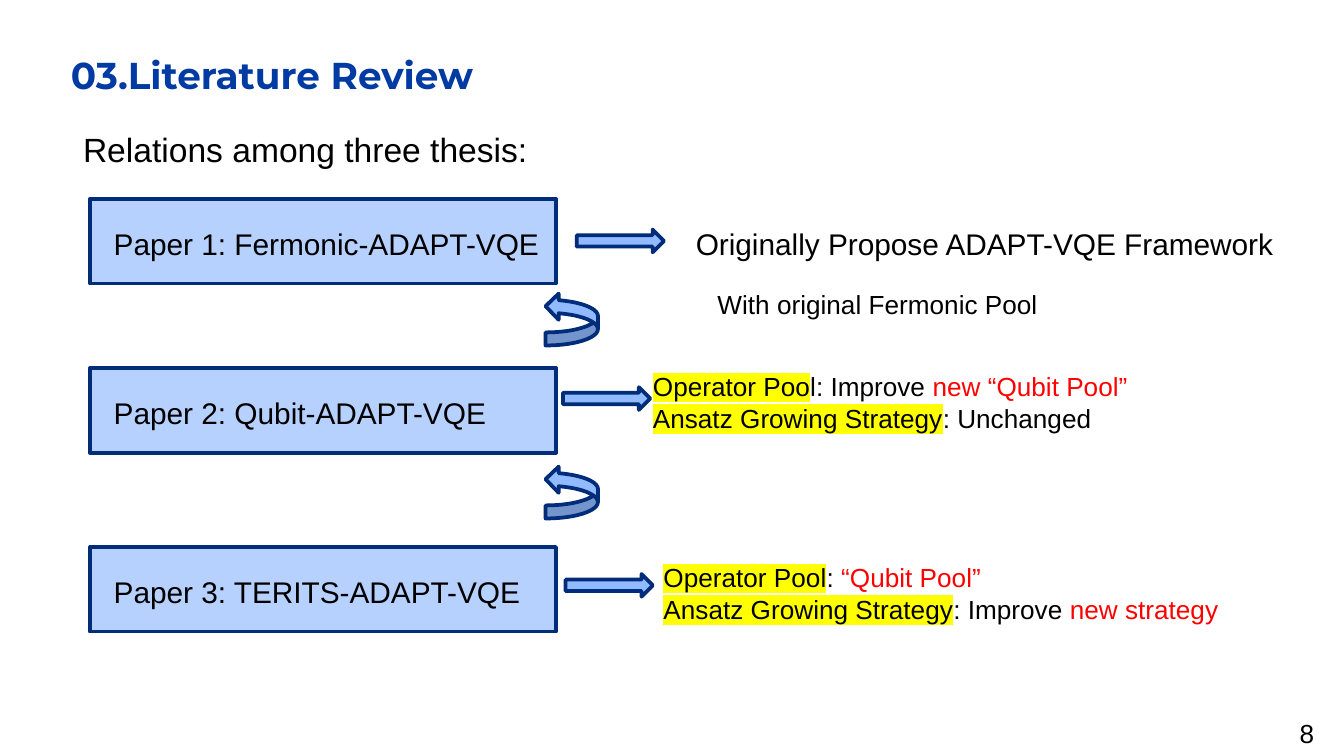
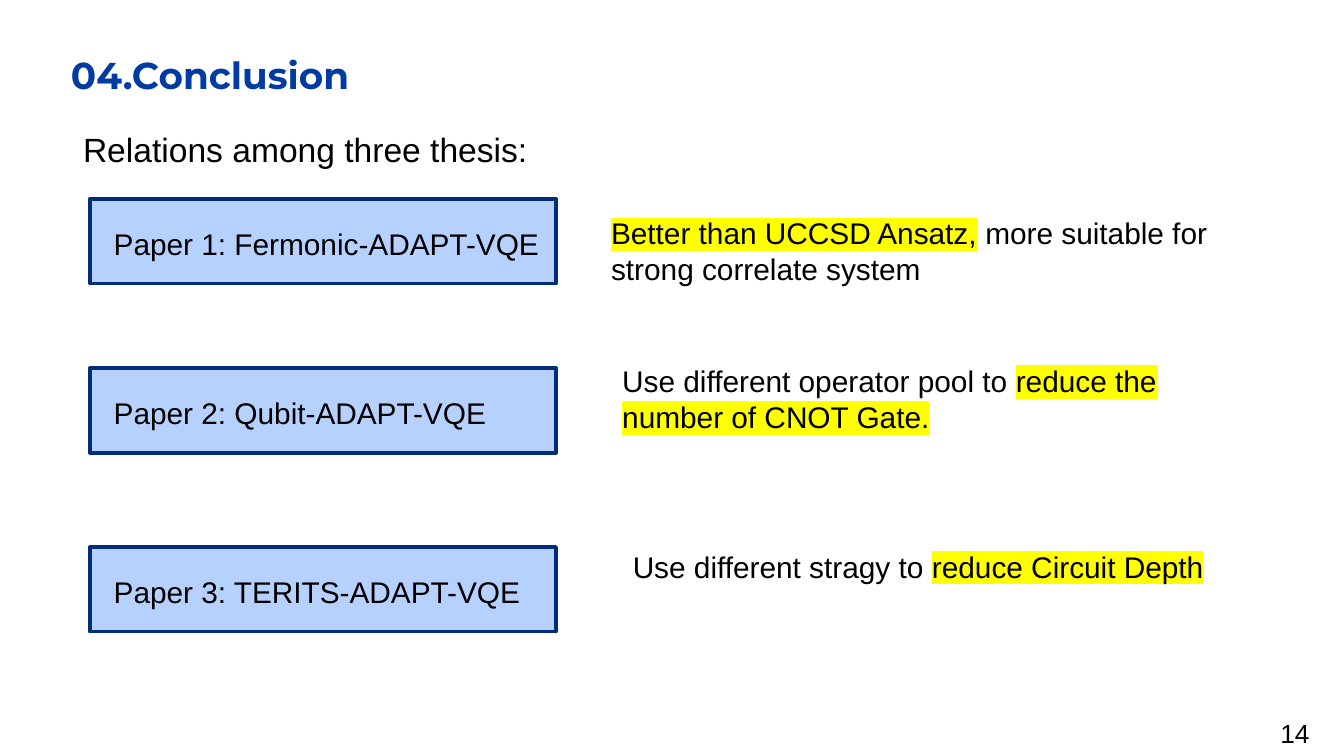
"""Build two slides that relate three ADAPT-VQE papers."""
from lxml.etree import SubElement
from pptx import Presentation
from pptx.dml.color import RGBColor
from pptx.enum.shapes import MSO_SHAPE
from pptx.enum.text import MSO_ANCHOR, MSO_AUTO_SIZE, PP_ALIGN
from pptx.oxml.ns import qn
from pptx.util import Cm, Pt

BLUE = RGBColor(0x00, 0x3B, 0xA3)
NAVY = RGBColor(0x00, 0x2C, 0x79)
PALE = RGBColor(0xB7, 0xD1, 0xFF)
SKY = RGBColor(0x92, 0xBA, 0xFF)
BLACK = RGBColor(0x00, 0x00, 0x00)
RED = RGBColor(0xFF, 0x00, 0x00)
YELLOW = RGBColor(0xFF, 0xFF, 0x00)

PAPERS = (
    (3.76, "Paper 1: Fermonic-ADAPT-VQE"),
    (6.96, "Paper 2: Qubit-ADAPT-VQE"),
    (10.34, "Paper 3: TERITS-ADAPT-VQE"),
)
PLAIN = {}
MARK = {"mark": YELLOW}
HOT = {"color": RED}


def write(para, text, size=16, font="Arial", color=BLACK, bold=False, mark=None):
    run = para.add_run()
    run.text = text
    run.font.size = Pt(size)
    run.font.name = font
    run.font.bold = bold
    run.font.color.rgb = color
    if mark is not None:
        props = run.font._element
        light = SubElement(props, qn("a:highlight"))
        SubElement(light, qn("a:srgbClr")).set("val", str(mark))
        props.find(qn("a:solidFill")).addnext(light)


class Deck:
    def __init__(self):
        self.show = Presentation()
        self.show.slide_width = Cm(25.4)
        self.show.slide_height = Cm(14.29)
        self.slide = None

    def page(self, title, left, wide, count):
        self.slide = self.show.slides.add_slide(self.show.slide_layouts[5])
        head = self.slide.shapes.title
        head.left, head.top, head.width, head.height = map(Cm, (1.09, 0.74, 21.44, 1.6))
        frame = head.text_frame
        frame.auto_size = MSO_AUTO_SIZE.NONE
        frame.vertical_anchor = MSO_ANCHOR.TOP
        frame.margin_left = frame.margin_right = Cm(0.25)
        frame.margin_top = frame.margin_bottom = Cm(0.25)
        frame.paragraphs[0].alignment = PP_ALIGN.LEFT
        write(frame.paragraphs[0], title, size=20, font="Montserrat", color=BLUE, bold=True)
        self.text((1.32, 2.31, 10.77, 1.02), [[("Relations among three thesis:", PLAIN)]], size=18)
        for top, name in PAPERS:
            self.paper(top, name)
        self.text((left, 13.43, wide, 0.86), [[(count, PLAIN)]], size=14)

    def text(self, place, lines, size=16, home=None):
        shapes = (home or self.slide).shapes
        frame = shapes.add_textbox(*map(Cm, place)).text_frame
        frame.word_wrap = True
        for at, line in enumerate(lines):
            para = frame.add_paragraph() if at else frame.paragraphs[0]
            for words, style in line:
                write(para, words, size=size, **style)

    def shape(self, kind, place, fill=SKY, turn=0, home=None):
        shapes = (home or self.slide).shapes
        form = shapes.add_shape(kind, *map(Cm, place))
        form.shadow.inherit = False
        form.fill.solid()
        form.fill.fore_color.rgb = fill
        form.line.color.rgb = NAVY
        form.line.width = Pt(2)
        form.rotation = turn

    def paper(self, top, name):
        group = self.slide.shapes.add_group_shape()
        self.shape(MSO_SHAPE.RECTANGLE, (1.7, top, 8.81, 1.6), fill=PALE, home=group)
        self.text((1.9, top + 0.38, 9.4, 0.94), [[(name, PLAIN)]], home=group)

    def arrow(self, left, top):
        self.shape(MSO_SHAPE.RIGHT_ARROW, (left, top, 1.65, 0.43))

    def curve(self, top):
        self.shape(MSO_SHAPE.CURVED_RIGHT_ARROW, (10.31, top, 0.99, 0.99), turn=180)


def review(deck):
    deck.page("03.Literature Review", 24.31, 0.99, "8")
    for left, top in ((10.9, 4.34), (10.64, 7.32), (10.69, 10.85)):
        deck.arrow(left, top)
    for top in (5.54, 8.81):
        deck.curve(top)
    deck.text((12.9, 4.14, 12.37, 0.94), [[("Originally Propose ADAPT-VQE Framework", PLAIN)]])
    deck.text((13.31, 5.33, 8.46, 0.86), [[("With original Fermonic Pool", PLAIN)]], size=14)
    plan = ("Ansatz Growing Strategy", MARK)
    deck.text((12.09, 6.88, 10.87, 1.45), [
        [("Operator Poo", MARK), ("l: Improve ", PLAIN), ("new “Qubit Pool”", HOT)],
        [plan, (": Unchanged", PLAIN)],
    ], size=14)
    deck.text((12.29, 10.49, 13.11, 1.45), [
        [("Operator Pool", MARK), (":", PLAIN), (" “Qubit Pool”", HOT)],
        [plan, (": Improve ", PLAIN), ("new strategy", HOT)],
    ], size=14)


def close(deck):
    deck.page("04.Conclusion", 23.95, 1.45, "14")
    deck.text((11.3, 3.94, 11.89, 1.63), [[
        ("Better than UCCSD Ansatz,", MARK),
        (" more suitable for strong correlate system", PLAIN),
    ]])
    deck.text((11.51, 6.73, 11.89, 1.63), [[
        ("Use different operator pool to ", PLAIN),
        ("reduce the number of CNOT Gate.", MARK),
    ]])
    deck.text((11.71, 10.24, 11.89, 0.94), [[
        ("Use different stragy to ", PLAIN),
        ("reduce Circuit Depth", MARK),
    ]])


def main():
    deck = Deck()
    review(deck)
    close(deck)
    deck.show.save("out.pptx")


if __name__ == "__main__":
    main()
